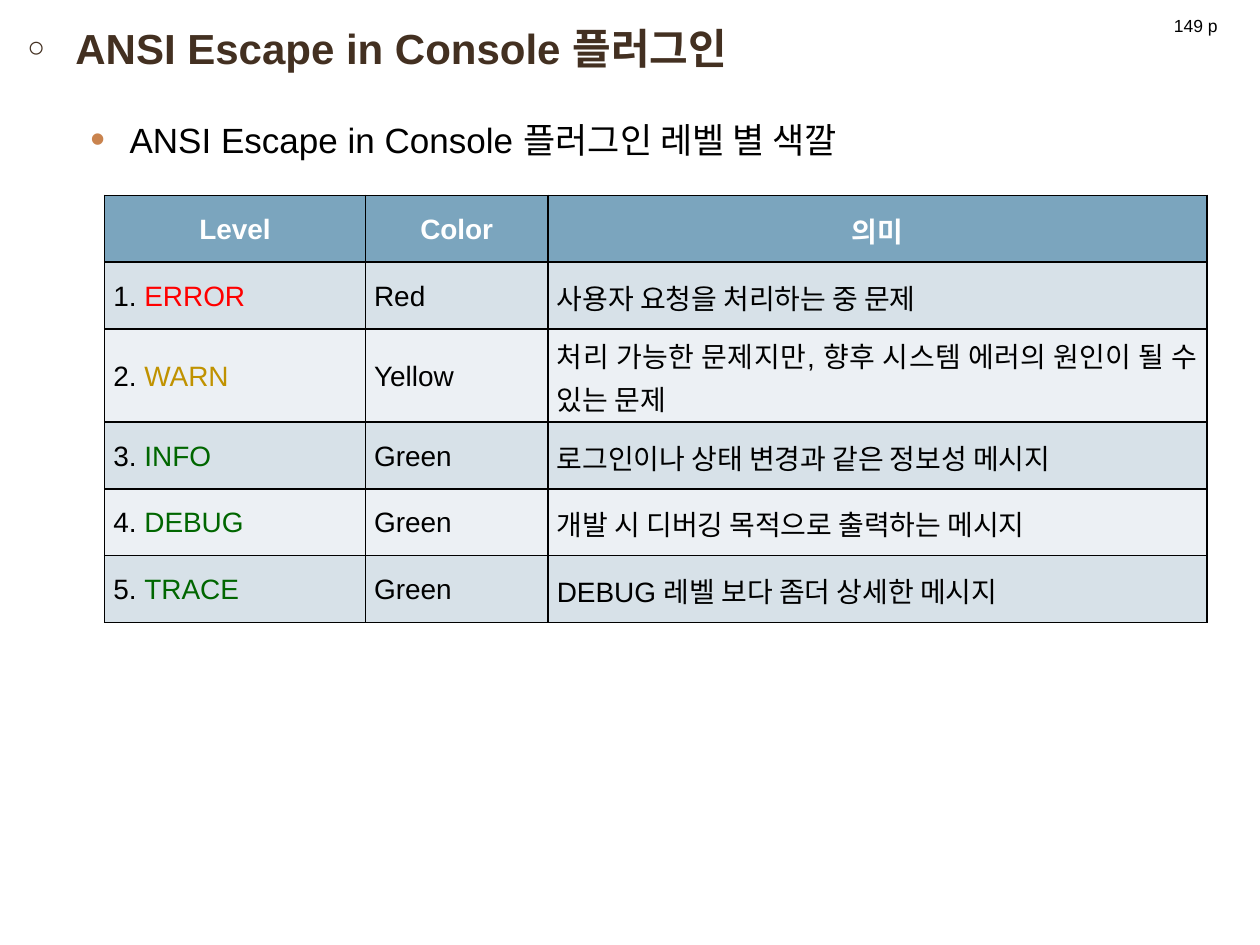
from pptx import Presentation
from pptx.dml.color import RGBColor
from pptx.enum.shapes import MSO_SHAPE
from pptx.enum.text import MSO_ANCHOR, PP_ALIGN
from pptx.oxml.ns import qn
from pptx.util import Inches, Pt
from lxml.etree import SubElement

RECT = MSO_SHAPE.RECTANGLE
MID = MSO_ANCHOR.MIDDLE
LEFT, MIDDLE, BOTH = PP_ALIGN.LEFT, PP_ALIGN.CENTER, PP_ALIGN.JUSTIFY
BLACK = RGBColor(0x00, 0x00, 0x00)
WHITE = RGBColor(0xFF, 0xFF, 0xFF)
BROWN = RGBColor(0x43, 0x30, 0x21)
RUST = RGBColor(0xC9, 0x83, 0x4E)
BLUE = RGBColor(0x7B, 0xA5, 0xBE)
MIST = RGBColor(0xD7, 0xE1, 0xE8)
PALE = RGBColor(0xEC, 0xF0, 0xF4)
RED = RGBColor(0xFF, 0x00, 0x00)
GOLD = RGBColor(0xC0, 0x92, 0x00)
GREEN = RGBColor(0x00, 0x66, 0x00)


def write(para, text, size=16, color=BLACK, bold=False, align=LEFT):
    para.alignment = align
    run = para.add_run()
    run.text = text
    run.font.name = "Arial"
    run.font.size = Pt(size)
    run.font.bold = bold
    run.font.color.rgb = color


def bullet(para, char, color, scale, left, hang):
    props = para._p.get_or_add_pPr()
    props.set("marL", str(Inches(left)))
    props.set("indent", str(-Inches(hang)))
    tint = SubElement(props, qn("a:buClr"))
    SubElement(tint, qn("a:srgbClr"), val=str(color))
    SubElement(props, qn("a:buSzPct"), val=str(scale * 1000))
    SubElement(props, qn("a:buFont"), typeface="Arial")
    SubElement(props, qn("a:buChar"), char=char)


deck = Presentation()
deck.slide_width = Inches(10)
deck.slide_height = Inches(7.5)
slide = deck.slides.add_slide(deck.slide_layouts[6])

body = slide.shapes.add_textbox(Inches(0.12), Inches(0.13), Inches(9.76), Inches(7.24))
frame = body.text_frame
frame.word_wrap = True
title = frame.paragraphs[0]
bullet(title, "○", BROWN, 70, 0.38, 0.38)
write(title, "ANSI Escape in Console 플러그인", size=24, color=BROWN, bold=True)
topic = frame.add_paragraph()
bullet(topic, "•", RUST, 120, 0.81, 0.31)
topic.space_before = Pt(26)
write(topic, "ANSI Escape in Console 플러그인 레벨 별 색깔", size=20)

heads = ["Level", "Color", "의미"]
levels = [
    ("ERROR", RED, "Red", "사용자 요청을 처리하는 중 문제"),
    ("WARN", GOLD, "Yellow", "처리 가능한 문제지만, 향후 시스템 에러의 원인이 될 수 있는 문제"),
    ("INFO", GREEN, "Green", "로그인이나 상태 변경과 같은 정보성 메시지"),
    ("DEBUG", GREEN, "Green", "개발 시 디버깅 목적으로 출력하는 메시지"),
    ("TRACE", GREEN, "Green", "DEBUG 레벨 보다 좀더 상세한 메시지"),
]
rows = [[[(head, WHITE)] for head in heads]]
for num, (level, tone, color, sense) in enumerate(levels, 1):
    rows.append([[(f"{num}. ", BLACK), (level, tone)], [(color, BLACK)], [(sense, BLACK)]])

grid = slide.shapes.add_table(
    len(rows), len(heads), Inches(0.83), Inches(1.55), Inches(8.75), Inches(3.39)
).table
for col, width in zip(grid.columns, [2.07, 1.45, 5.23]):
    col.width = Inches(width)
for row, height in zip(grid.rows, [0.53, 0.53, 0.74, 0.53, 0.53, 0.53]):
    row.height = Inches(height)

for r, row in enumerate(rows):
    for c, parts in enumerate(row):
        cell = grid.cell(r, c)
        cell.vertical_anchor = MID
        cell.margin_left = cell.margin_right = Inches(0.07)
        cell.margin_top = cell.margin_bottom = 0
        props = cell._tc.get_or_add_tcPr()
        for side in ("a:lnL", "a:lnR", "a:lnT", "a:lnB"):
            line = SubElement(props, qn(side), w=str(Pt(1)))
            fill = SubElement(line, qn("a:solidFill"))
            SubElement(fill, qn("a:srgbClr"), val=str(BLACK))
        cell.fill.solid()
        cell.fill.fore_color.rgb = BLUE if r == 0 else MIST if r % 2 else PALE
        para = cell.text_frame.paragraphs[0]
        para.line_spacing = 1.07
        for text, color in parts:
            write(para, text, color=color, bold=r == 0, align=BOTH if r else MIDDLE)

page = slide.shapes.add_shape(RECT, Inches(9.02), Inches(0.05), Inches(0.94), Inches(0.31))
page.shadow.inherit = False
page.fill.solid()
page.fill.fore_color.rgb = WHITE
page.line.color.rgb = WHITE
page.line.width = Pt(1.25)
page.text_frame.vertical_anchor = MID
write(page.text_frame.paragraphs[0], "149 p", size=10, align=MIDDLE)

deck.save("out.pptx")
